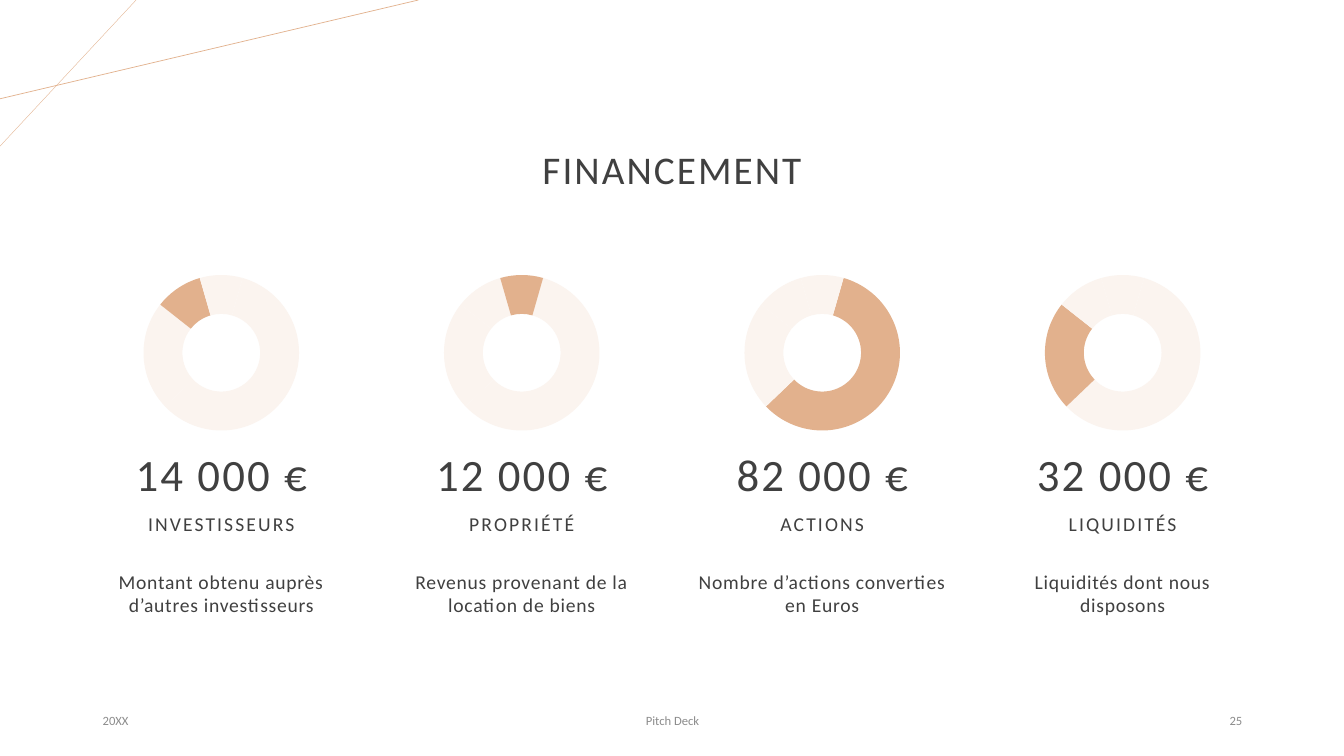
"""Build a financing slide with four doughnut charts and their captions."""
from lxml import etree
from pptx import Presentation
from pptx import util as u
from pptx.chart.data import CategoryChartData
from pptx.dml.color import RGBColor
from pptx.enum import chart as charts, shapes, text
from pptx.oxml import ns

ACCENT, PALE, DARK, GREY = "E2B18D", "FBF4EF", "404040", "8C8C8C"
FONT = "Calibri"
LEFT, RIGHT, CENTER = text.PP_ALIGN.LEFT, text.PP_ALIGN.RIGHT, text.PP_ALIGN.CENTER
TOP, MIDDLE, BOTTOM = text.MSO_ANCHOR.TOP, text.MSO_ANCHOR.MIDDLE, text.MSO_ANCHOR.BOTTOM
MARGIN, COLUMN_WIDTH = 0.92, 2.55
CHART_WIDTH, CHART_HEIGHT = 2.03, 1.82

presentation = Presentation()
presentation.slide_width, presentation.slide_height = u.Inches(13.33), u.Inches(7.5)
slide = presentation.slides.add_slide(presentation.slide_layouts[6])
column_pitch = (13.33 - 2 * MARGIN - COLUMN_WIDTH) / 3


def color(value):
    return RGBColor.from_string(value)


def add_text(words, box, size, align=CENTER, anchor=MIDDLE, tint=DARK,
             tracking=0, leading=1, before=0, inset=0.1):
    shape = slide.shapes.add_textbox(*map(u.Inches, box))
    frame = shape.text_frame
    frame.word_wrap = True
    frame.vertical_anchor = anchor
    frame.margin_left = frame.margin_right = u.Inches(inset)
    paragraph = frame.paragraphs[0]
    paragraph.text = words
    paragraph.alignment = align
    paragraph.line_spacing = leading
    paragraph.space_before = u.Pt(before)
    paragraph.font.name = FONT
    paragraph.font.size = u.Pt(size)
    paragraph.font.color.rgb = color(tint)
    if tracking:
        paragraph.runs[0]._r.get_or_add_rPr().set("spc", str(int(tracking * 100)))


for start_x, end_y, width in [(1.35, 1.45, 0.25), (4.15, 0.98, 0.5)]:
    line = slide.shapes.add_connector(
        shapes.MSO_CONNECTOR.STRAIGHT, u.Inches(start_x), 0, 0, u.Inches(end_y))
    line.line.color.rgb = color(ACCENT)
    line.line.width = u.Pt(width)
    etree.SubElement(line._element.spPr, ns.qn("a:effectLst"))

add_text("FINANCEMENT", (2.06, 0.98, 9.21, 1.45), 28, tracking=1.5, leading=0.9)

chart_data = CategoryChartData()
chart_data.categories = ["1", "2", "3", "4"]
chart_data.add_series("Series 1", [59, 23, 10, 9])

sources = [
    ("14 000 €", "INVESTISSEURS", "Montant obtenu auprès d’autres investisseurs", 2),
    ("12 000 €", "PROPRIÉTÉ", "Revenus provenant de la location de biens", 3),
    ("82 000 €", "ACTIONS", "Nombre d’actions converties en Euros", 0),
    ("32 000 €", "LIQUIDITÉS", "Liquidités dont nous disposons", 1),
]
for column, (amount, label, description, highlight) in enumerate(sources):
    left = MARGIN + column * column_pitch
    chart_left = left + (COLUMN_WIDTH - CHART_WIDTH) / 2
    chart = slide.shapes.add_chart(
        charts.XL_CHART_TYPE.DOUGHNUT,
        *map(u.Inches, (chart_left, 2.59, CHART_WIDTH, CHART_HEIGHT)), chart_data).chart
    chart.has_legend = chart.has_title = False
    chart.font.name = FONT
    chart.font.size = u.Pt(10)
    chart.font.color.rgb = color("000000")
    plot = chart.plots[0]
    plot.vary_by_categories = True
    for index in range(4):
        slice_format = plot.series[0].points[index].format
        slice_format.fill.solid()
        slice_format.fill.fore_color.rgb = color(ACCENT if index == highlight else PALE)
        slice_format.line.fill.background()
    for tag, value in [("c:firstSliceAng", "16"), ("c:holeSize", "80")]:
        plot._element.find(ns.qn(tag)).set("val", value)

    plot_area = chart._chartSpace.chart.plotArea
    for layout in plot_area.findall(ns.qn("c:layout")):
        plot_area.remove(layout)
    layout = etree.Element(ns.qn("c:layout"))
    plot_area.insert(0, layout)
    manual = etree.SubElement(layout, ns.qn("c:manualLayout"))
    for tag, value in [("layoutTarget", "inner"), ("xMode", "edge"), ("yMode", "edge"),
                       ("x", "0.12"), ("y", "0.075"), ("w", "0.76"), ("h", "0.85")]:
        etree.SubElement(manual, ns.qn("c:" + tag)).set("val", value)

    for words, top, height, size, anchor, tracking, leading in [
            (amount, 4.14, 0.88, 32, BOTTOM, 1.5, 0.9),
            (label, 4.88, 0.48, 14, BOTTOM, 1.5, 0.9),
            (description, 5.6, 0.93, 14, TOP, 0.5, 1)]:
        add_text(words, (left, top, COLUMN_WIDTH, height), size, anchor=anchor,
                 tracking=tracking, leading=leading, before=10, inset=0)

for words, left, width, align in [
        ("20XX", MARGIN, 3, LEFT), ("Pitch Deck", 4.42, 4.5, CENTER), ("25", 9.42, 3, RIGHT)]:
    add_text(words, (left, 6.95, width, 0.4), 9, align=align, tint=GREY)

presentation.save("out.pptx")
